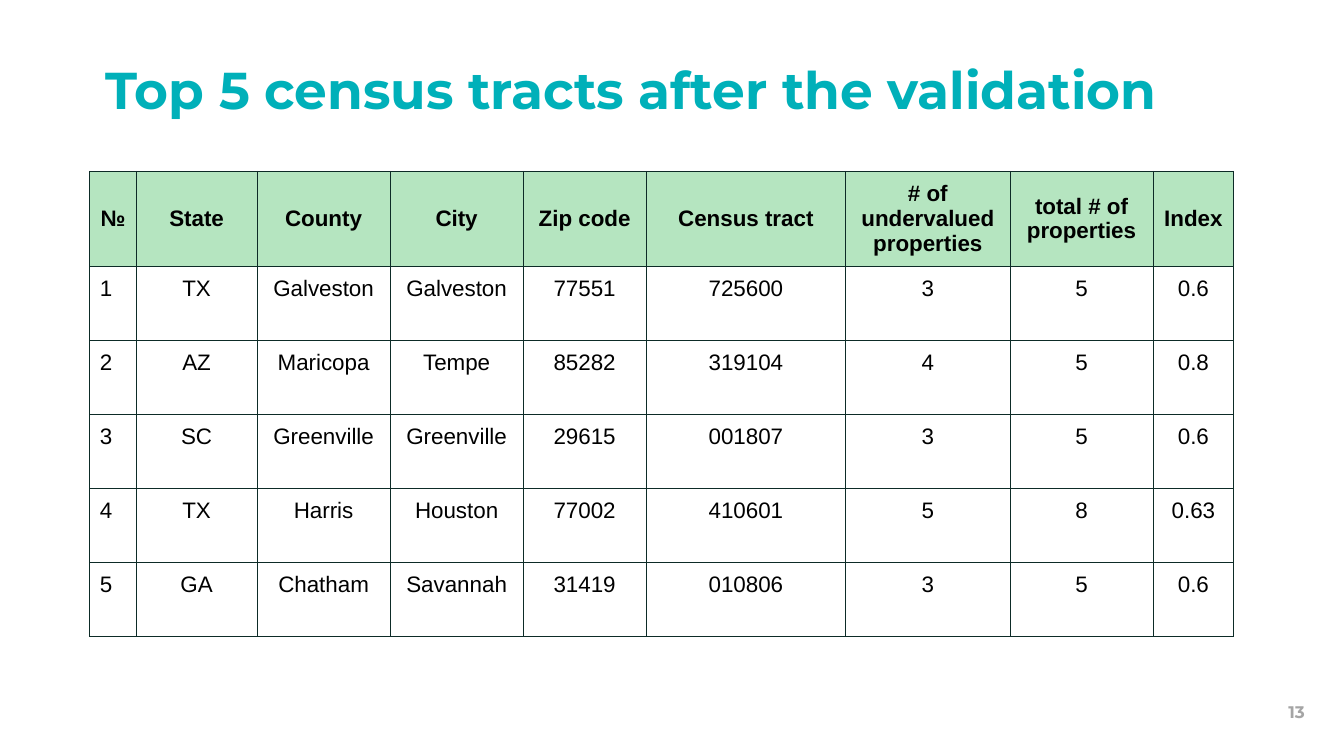
"""Build the slide with the table of top census tracts."""
from dataclasses import dataclass

from lxml import etree
from pptx import Presentation, util as u
from pptx.dml.color import RGBColor
from pptx.enum import text as t
from pptx.oxml import ns

WIDE, HIGH = u.Inches(13.33), u.Inches(7.5)
PAD = u.Inches(0.1)


@dataclass(frozen=True)
class Theme:
    head: str = "Montserrat"
    body: str = "Arial"
    teal: str = "00B0B9"
    gray: str = "A5A5A5"
    ink: str = "000000"
    mint: str = "B5E5C0"
    line: str = "0D2B27"
    big: int = 37
    mid: int = 16
    small: int = 12
    rule: float = 0.75


@dataclass(frozen=True)
class Box:
    """Hold a place as percentages of the slide."""
    left: float
    top: float
    width: float
    height: float

    def place(self) -> tuple:
        return x(self.left), y(self.top), x(self.width), y(self.height)


@dataclass(frozen=True)
class Field:
    name: str
    width: float
    align: t.PP_ALIGN = t.PP_ALIGN.CENTER


@dataclass(frozen=True)
class Label:
    text: str
    box: Box
    size: int
    color: str
    align: t.PP_ALIGN
    anchor: t.MSO_ANCHOR
    pad: u.Length


THEME = Theme()
LABELS = (
    Label("13", Box(83.95, 91.73, 13.88, 4.93), THEME.small, THEME.gray,
          t.PP_ALIGN.RIGHT, t.MSO_ANCHOR.MIDDLE, u.Inches(0.05)),
    Label("Top 5 census tracts after the validation",
          Box(7.13, 6.27, 84.17, 10.93), THEME.big, THEME.teal,
          t.PP_ALIGN.LEFT, t.MSO_ANCHOR.TOP, PAD),
)
FIELDS = (
    Field("№", 3.45, t.PP_ALIGN.LEFT),
    Field("State", 9),
    Field("County", 9.9),
    Field("City", 9.9),
    Field("Zip code", 9.15),
    Field("Census tract", 14.85),
    Field("# of undervalued properties", 12.23),
    Field("total # of properties", 10.65),
    Field("Index", 6),
)
TRACTS = (
    ("TX", "Galveston", "Galveston", "77551", "725600", "3", "5", "0.6"),
    ("AZ", "Maricopa", "Tempe", "85282", "319104", "4", "5", "0.8"),
    ("SC", "Greenville", "Greenville", "29615", "001807", "3", "5", "0.6"),
    ("TX", "Harris", "Houston", "77002", "410601", "5", "8", "0.63"),
    ("GA", "Chatham", "Savannah", "31419", "010806", "3", "5", "0.6"),
)
TOP_ROW, ROW = 12.53, 9.79


def x(share: float) -> u.Length:
    return u.Emu(round(WIDE * share / 100))


def y(share: float) -> u.Length:
    return u.Emu(round(HIGH * share / 100))


def write(frame, text: str, *, size: int, font: str, color: str,
          bold: bool = False, align: t.PP_ALIGN = t.PP_ALIGN.LEFT) -> None:
    para = frame.paragraphs[0]
    para.alignment = align
    run = para.add_run()
    run.text = text
    run.font.size = u.Pt(size)
    run.font.name = font
    run.font.bold = bold
    run.font.color.rgb = RGBColor.from_string(color)


def inset(item, pad: u.Length) -> None:
    item.margin_left = item.margin_right = PAD
    item.margin_top = item.margin_bottom = pad


def border(cell) -> None:
    props = cell._tc.get_or_add_tcPr()
    for side in ("L", "R", "T", "B"):
        line = etree.SubElement(props, ns.qn(f"a:ln{side}"),
                                w=str(u.Pt(THEME.rule)))
        fill = etree.SubElement(line, ns.qn("a:solidFill"))
        etree.SubElement(fill, ns.qn("a:srgbClr"), val=THEME.line)


def label(slide, item: Label) -> None:
    frame = slide.shapes.add_textbox(*item.box.place()).text_frame
    frame.word_wrap = True
    frame.vertical_anchor = item.anchor
    inset(frame, item.pad)
    write(frame, item.text, size=item.size, font=THEME.head,
          color=item.color, bold=True, align=item.align)


def put(cell, text: str, align: t.PP_ALIGN, top: bool) -> None:
    inset(cell, PAD)
    border(cell)
    if top:
        cell.fill.solid()
        cell.fill.fore_color.rgb = RGBColor.from_string(THEME.mint)
        cell.vertical_anchor = t.MSO_ANCHOR.MIDDLE
    else:
        cell.fill.background()
    write(cell.text_frame, text, size=THEME.mid, font=THEME.body,
          color=THEME.ink, bold=top,
          align=t.PP_ALIGN.CENTER if top else align)


def grid(slide) -> None:
    rows = [tuple(f.name for f in FIELDS)]
    rows += [(str(n), *tract) for n, tract in enumerate(TRACTS, 1)]
    box = Box(6.68, 22.67, sum(f.width for f in FIELDS),
              TOP_ROW + ROW * len(TRACTS))
    table = slide.shapes.add_table(len(rows), len(FIELDS), *box.place()).table
    table.first_row = table.horz_banding = False
    for col, field in zip(table.columns, FIELDS):
        col.width = x(field.width)
    for r, values in enumerate(rows):
        table.rows[r].height = y(ROW if r else TOP_ROW)
        for c, (field, value) in enumerate(zip(FIELDS, values)):
            put(table.cell(r, c), value, field.align, r == 0)


def main() -> None:
    deck = Presentation()
    deck.slide_width, deck.slide_height = WIDE, HIGH
    slide = deck.slides.add_slide(deck.slide_layouts[6])
    grid(slide)
    for item in LABELS:
        label(slide, item)
    deck.save("out.pptx")


if __name__ == "__main__":
    main()
